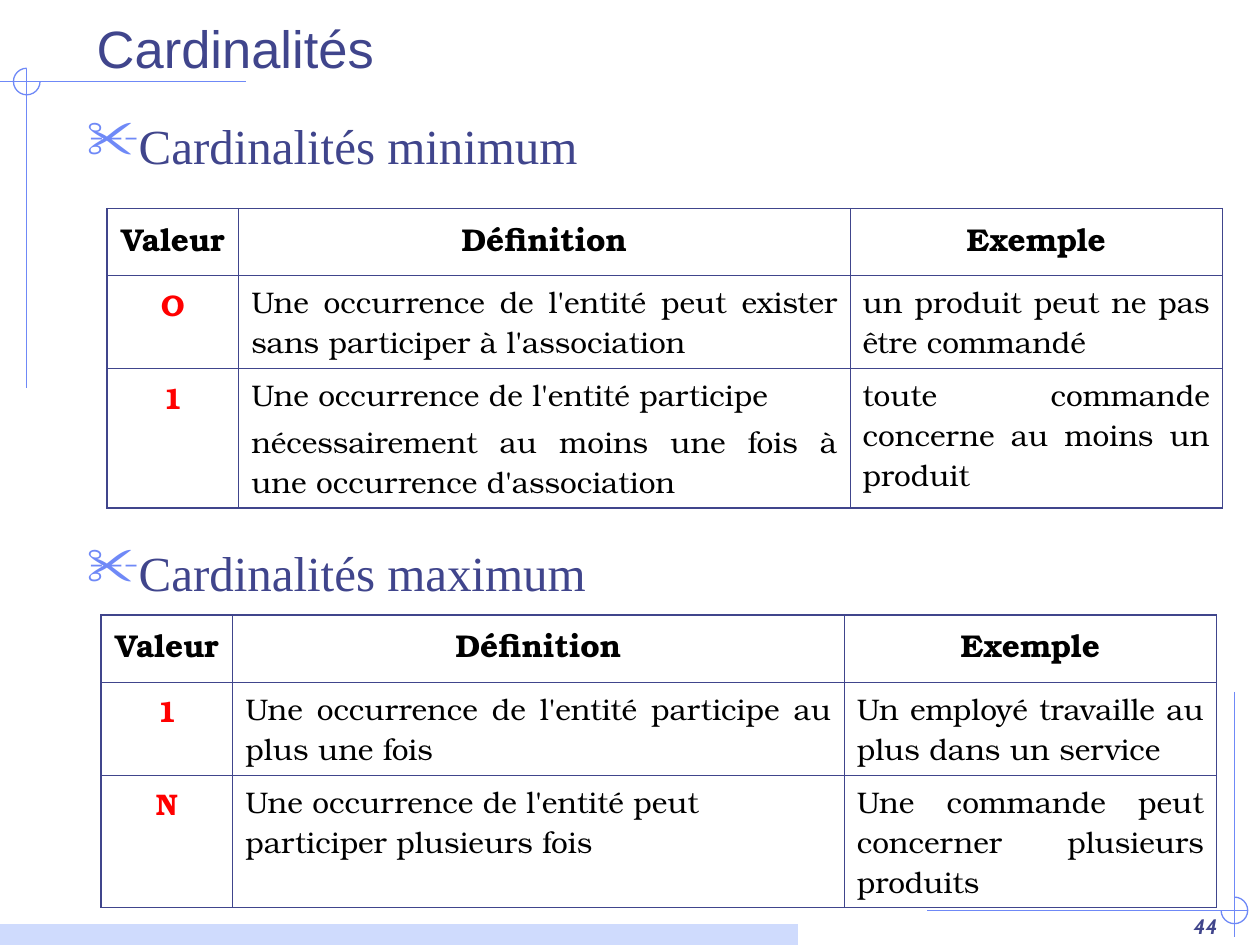
from lxml import etree
from pptx import Presentation
from pptx.dml.color import RGBColor
from pptx.enum.shapes import MSO_CONNECTOR, MSO_SHAPE
from pptx.enum.text import MSO_ANCHOR, PP_ALIGN as Align
from pptx.oxml.ns import qn
from pptx.util import Pt

COLORS = {"ink": "40458C", "accent": "6F89F7", "band": "CFDBFD",
          "value": "FF0000", "text": "000000"}
TABLE_FONT = "TeX Gyre Bonum"
COLUMN_WIDTHS = (75.3, 349.4, 212.8)
HEADERS = ("Valeur", "Définition", "Exemple")
LEFT, JUSTIFY = Align.LEFT, Align.JUSTIFY

MINIMUM = [
    ("O", [("Une occurrence de l'entité peut exister sans participer à l'association", JUSTIFY)],
     "un produit peut ne pas être commandé"),
    ("1", [("Une occurrence de l'entité participe", LEFT),
           ("nécessairement au moins une fois à une occurrence d'association", JUSTIFY)],
     "toute commande concerne au moins un produit"),
]
MAXIMUM = [
    ("1", [("Une occurrence de l'entité participe au plus une fois", JUSTIFY)],
     "Un employé travaille au plus dans un service"),
    ("N", [("Une occurrence de l'entité peut participer plusieurs fois", LEFT)],
     "Une commande peut concerner plusieurs produits"),
]


def rgb(name):
    return RGBColor.from_string(COLORS[name])


def add_run(paragraph, text, font, size, color, bold=False, italic=False):
    run = paragraph.add_run()
    run.text = text
    run.font.name = font
    run.font.size = Pt(size)
    run.font.bold = bold
    run.font.italic = italic
    run.font.color.rgb = rgb(color)


def add_text_frame(slide, box, anchor):
    frame = slide.shapes.add_textbox(*map(Pt, box)).text_frame
    frame.word_wrap = True
    frame.vertical_anchor = anchor
    return frame


def add_axis(slide, start, end):
    axis = slide.shapes.add_connector(MSO_CONNECTOR.STRAIGHT, *map(Pt, start + end))
    axis.line.color.rgb = rgb("accent")
    axis.line.width = Pt(0.75)
    etree.SubElement(axis._element.spPr, qn("a:effectLst"))


def add_crosshair(slide, box, center, rotation):
    left, top, width, height = box
    x, y = center
    radius = 7.6
    add_axis(slide, (left, y), (left + width, y))
    add_axis(slide, (x, top), (x, top + height))
    arc = slide.shapes.add_shape(MSO_SHAPE.ARC, Pt(x - radius), Pt(y - radius),
                                 Pt(2 * radius), Pt(2 * radius))
    arc.adjustments[0] = 0
    arc.adjustments[1] = 162
    arc.rotation = rotation
    arc.shadow.inherit = False
    arc.fill.background()
    arc.line.color.rgb = rgb("accent")
    arc.line.width = Pt(0.75)


def add_footer(slide, band_box, number_box):
    band = slide.shapes.add_shape(MSO_SHAPE.RECTANGLE, *map(Pt, band_box))
    band.shadow.inherit = False
    band.fill.solid()
    band.fill.fore_color.rgb = rgb("band")
    band.line.fill.background()
    number = add_text_frame(slide, number_box, MSO_ANCHOR.BOTTOM).paragraphs[0]
    number.alignment = Align.RIGHT
    add_run(number, "44", "Cabin", 12, "ink", bold=True, italic=True)


def add_title(slide, box):
    title = add_text_frame(slide, box, MSO_ANCHOR.BOTTOM).paragraphs[0]
    add_run(title, "Cardinalités", "Arial", 30, "ink")


def add_heading(slide, box, text):
    heading = add_text_frame(slide, box, MSO_ANCHOR.TOP).paragraphs[0]
    heading.alignment = JUSTIFY
    heading.space_before = Pt(7)
    properties = heading._p.get_or_add_pPr()
    properties.set("marL", str(Pt(27)))
    properties.set("indent", str(Pt(-27)))
    bullet_color = etree.SubElement(properties, qn("a:buClr"))
    etree.SubElement(bullet_color, qn("a:srgbClr"), val=COLORS["accent"])
    etree.SubElement(properties, qn("a:buSzPct"), val="110000")
    etree.SubElement(properties, qn("a:buChar"), char="✂")
    add_run(heading, text, "Times New Roman", 28, "ink")


def set_borders(cell, outer_sides):
    properties = cell._tc.get_or_add_tcPr()
    for position, side in enumerate("LRTB"):
        width = 1.08 if side in outer_sides else 0.45
        border = etree.Element(qn(f"a:ln{side}"), w=str(Pt(width)))
        fill = etree.SubElement(border, qn("a:solidFill"))
        etree.SubElement(fill, qn("a:srgbClr"), val=COLORS["ink"])
        properties.insert(position, border)


def fill_cell(cell, paragraphs, space, size, color="text", bold=False):
    for index, (text, alignment) in enumerate(paragraphs):
        frame = cell.text_frame
        paragraph = frame.add_paragraph() if index else frame.paragraphs[0]
        paragraph.alignment = alignment
        if alignment != LEFT:
            paragraph.space_before = Pt(space)
        add_run(paragraph, text, TABLE_FONT, size, color, bold)


def add_cardinality_table(slide, corner, row_heights, entries):
    box = (*corner, sum(COLUMN_WIDTHS), sum(row_heights))
    table = slide.shapes.add_table(3, 3, *map(Pt, box)).table
    table.first_row = table.horz_banding = False
    for column, width in zip(table.columns, COLUMN_WIDTHS):
        column.width = Pt(width)
    for row, height in zip(table.rows, row_heights):
        row.height = Pt(height)
    for column, header in enumerate(HEADERS):
        fill_cell(table.cell(0, column), [(header, Align.CENTER)],
                  0 if column == 2 else 4.5, 18, bold=True)
    for row, (value, definition, example) in enumerate(entries, 1):
        fill_cell(table.cell(row, 0), [(value, Align.CENTER)], 4.2, 17, "value", True)
        fill_cell(table.cell(row, 1), definition, 4.2, 17)
        fill_cell(table.cell(row, 2), [(example, JUSTIFY)], 4.2, 17)
    for row in range(3):
        for column in range(3):
            cell = table.cell(row, column)
            cell.fill.background()
            set_borders(cell, ("L", "", "R")[column] + ("T", "", "B")[row])


def main():
    deck = Presentation()
    deck.slide_width, deck.slide_height = Pt(720), Pt(540)
    slide = deck.slides.add_slide(deck.slide_layouts[6])
    add_crosshair(slide, (0, 39.4, 140.4, 182.4), (15.3, 46.6), 0)
    add_crosshair(slide, (529.9, 395.3, 182.9, 140.4), (705.4, 520.2), 270)
    add_footer(slide, (0, 528, 456, 12), (553, 504, 149.8, 36))
    add_title(slide, (48.2, 0.4, 653.8, 48.2))
    add_heading(slide, (42.6, 62.6, 642.2, 48), "Cardinalités minimum")
    add_heading(slide, (42.6, 306.6, 642.2, 48), "Cardinalités maximum")
    add_cardinality_table(slide, (61.1, 119.2), (38.2, 53.2, 79.8), MINIMUM)
    add_cardinality_table(slide, (57.7, 351.6), (38.2, 53.2, 75.6), MAXIMUM)
    deck.save("out.pptx")


if __name__ == "__main__":
    main()
